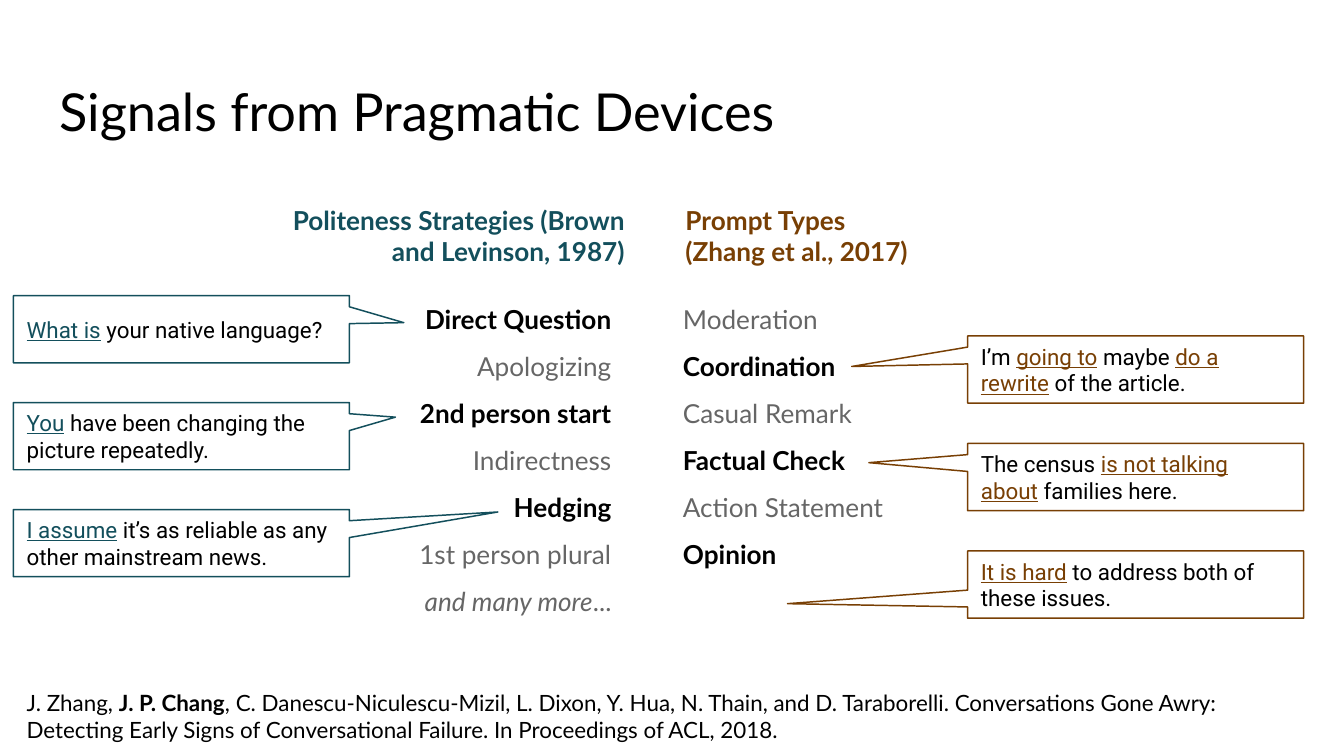
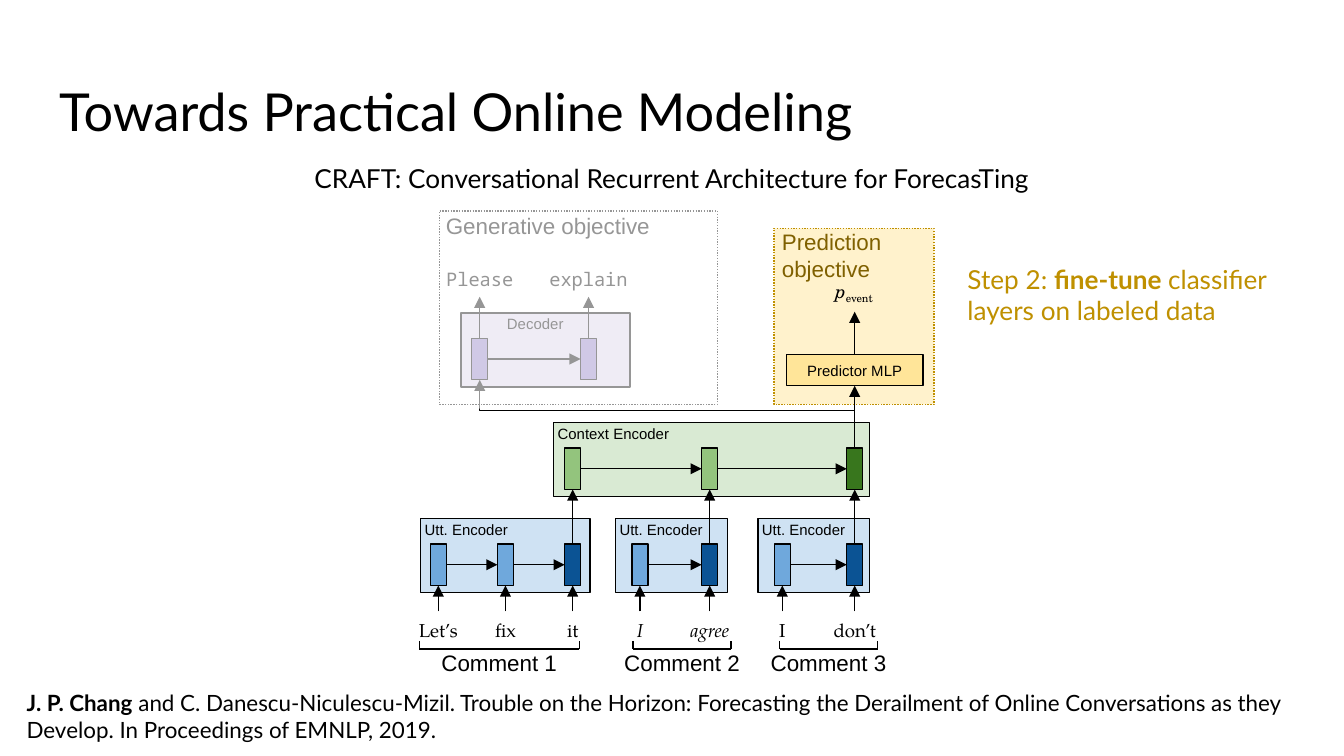
from itertools import pairwise
from typing import NamedTuple

from lxml.etree import SubElement
from pptx import Presentation
from pptx.dml.color import RGBColor
from pptx.enum.dml import MSO_LINE
from pptx.enum.shapes import MSO_CONNECTOR, MSO_SHAPE
from pptx.enum.text import MSO_ANCHOR, MSO_AUTO_SIZE, PP_ALIGN
from pptx.oxml.ns import qn
from pptx.util import Pt

BLACK = RGBColor(0x00, 0x00, 0x00)
WHITE = RGBColor(0xFF, 0xFF, 0xFF)
GRAY = RGBColor(0x66, 0x66, 0x66)
TEAL = RGBColor(0x13, 0x4F, 0x5C)
BROWN = RGBColor(0x78, 0x3F, 0x04)
GOLD = RGBColor(0xBF, 0x90, 0x00)
DARK_GOLD = RGBColor(0x7F, 0x60, 0x00)
CREAM = RGBColor(0xFF, 0xF2, 0xCC)
YELLOW = RGBColor(0xFF, 0xE5, 0x99)
PALE_BLUE = RGBColor(0xCF, 0xE2, 0xF3)
BLUE = RGBColor(0x6F, 0xA8, 0xDC)
DARK_BLUE = RGBColor(0x0B, 0x53, 0x94)
PALE_GREEN = RGBColor(0xD9, 0xEA, 0xD3)
GREEN = RGBColor(0x93, 0xC4, 0x7D)
DARK_GREEN = RGBColor(0x38, 0x76, 0x1D)
PALE_PURPLE = RGBColor(0xD9, 0xD2, 0xE9)
PURPLE = RGBColor(0x8E, 0x7C, 0xC3)

LATO = "Lato"
ARIAL = "Arial"
ROBOTO = "Roboto"
MONO = "Noto Sans Mono"
PAGELLA = "TeX Gyre Pagella"
SCHOLA = "TeX Gyre Schola"

THIN = 0.75
CELL_WIDTH, CELL_HEIGHT, CELL_DROP = 8.6, 22.3, 13.5
LEFT, CENTER, RIGHT = PP_ALIGN.LEFT, PP_ALIGN.CENTER, PP_ALIGN.RIGHT


class Box(NamedTuple):
    left: float
    top: float
    width: float
    height: float

    def lengths(self):
        return [Pt(value) for value in self]


class Span(NamedTuple):
    text: str
    color: RGBColor = None
    bold: bool = False
    italic: bool = False
    underline: bool = False
    baseline: int = 0


def write(shape, paragraphs, size, font=LATO, color=BLACK, align=LEFT,
          anchor=MSO_ANCHOR.TOP, insets=(7.2, 7.2), wrap=True, spacing=1.0):
    """Fill a shape with paragraphs, each a list of spans; a string is one plain span."""
    if isinstance(paragraphs, str):
        paragraphs = [[Span(paragraphs)]]
    frame = shape.text_frame
    frame.auto_size = MSO_AUTO_SIZE.NONE
    frame.word_wrap = wrap
    frame.vertical_anchor = anchor
    frame.margin_left = frame.margin_right = Pt(insets[0])
    frame.margin_top = frame.margin_bottom = Pt(insets[1])
    for index, spans in enumerate(paragraphs):
        para = frame.add_paragraph() if index else frame.paragraphs[0]
        if shape.is_placeholder:
            properties = para._p.get_or_add_pPr()
            properties.set("marL", "0")
            properties.set("indent", "0")
            SubElement(properties, qn("a:buNone"))
        para.alignment = align
        para.line_spacing = spacing
        para.space_before = Pt(0)
        for span in spans:
            run = para.add_run()
            run.text = span.text
            run.font.size = Pt(size)
            run.font.name = font
            run.font.bold = span.bold
            run.font.italic = span.italic
            run.font.underline = span.underline
            run.font.color.rgb = span.color or color
            if span.baseline:
                run._r.get_or_add_rPr().set("baseline", str(span.baseline * 1000))


def place(shape, box):
    shape.left, shape.top, shape.width, shape.height = box.lengths()


def label(page, box, paragraphs, size, **style):
    write(page.shapes.add_textbox(*box.lengths()), paragraphs, size, **style)


def panel(page, box, fill=None, line=BLACK, weight=THIN, dotted=False, kind=MSO_SHAPE.RECTANGLE):
    shape = page.shapes.add_shape(kind, *box.lengths())
    shape.shadow.inherit = False
    if fill is None:
        shape.fill.background()
    else:
        shape.fill.solid()
        shape.fill.fore_color.rgb = fill
    if line is None:
        shape.line.fill.background()
    else:
        shape.line.color.rgb = line
        shape.line.width = Pt(weight)
    if dotted:
        shape.line.dash_style = MSO_LINE.ROUND_DOT
    return shape


def connect(page, start, end, head=True, kind=MSO_CONNECTOR.STRAIGHT):
    connector = page.shapes.add_connector(kind, *[Pt(value) for value in (*start, *end)])
    connector.line.color.rgb = BLACK
    connector.line.width = Pt(THIN)
    properties = connector._element.spPr
    if head:
        SubElement(properties.find(qn("a:ln")), qn("a:tailEnd"), type="triangle")
    SubElement(properties, qn("a:effectLst"))
    return connector


def start_page(deck, layout, title, citation):
    """Add a page with the shared title style and citation footer."""
    page = deck.slides.add_slide(deck.slide_layouts.get_by_name(layout))
    place(page.shapes.title, Box(24.5, 35.3, 671, 45.4))
    write(page.shapes.title, title, 28)
    label(page, Box(7.2, 362.2, 702.7, 35.3), citation, 12)
    return page


def device_column(page, box, first_index, heading, devices, color, align, list_shift):
    """Heading over a list of devices; the list starts list_shift into the box."""
    heading_shape, list_shape = (page.placeholders[first_index + step] for step in (0, 1))
    place(heading_shape, Box(box.left, box.top, box.width, 37.4))
    write(heading_shape, [[Span(text, bold=True)] for text in heading], 14, color=color, align=align)
    place(list_shape, Box(box.left + list_shift, box.top + 46.1, 124.6, box.height - 46.1))
    write(list_shape, devices, 14, color=GRAY, align=align, insets=(5.8, 5.8), spacing=1.5)


def callouts(page, box, step, color, quotes):
    """Stack quote callouts downwards from box; each quote has a pointer tip and spans."""
    for index, (tip, spans) in enumerate(quotes):
        bubble = panel(page, box._replace(top=box.top + index * step), line=color, weight=0.79,
                       kind=MSO_SHAPE.RECTANGULAR_CALLOUT)
        bubble.adjustments[0], bubble.adjustments[1] = tip
        write(bubble, [spans], 12, font=ROBOTO, anchor=MSO_ANCHOR.MIDDLE, insets=(7.2, 3.6))


def devices_page(deck):
    page = start_page(deck, "Comparison", "Signals from Pragmatic Devices", [
        [Span("J. Zhang, "), Span("J. P. Chang", bold=True),
         Span(", C. Danescu-Niculescu-Mizil, L. Dixon, Y. Hua, N. Thain, and D. Taraborelli. "
              "Conversations Gone Awry:")],
        [Span("Detecting Early Signs of Conversational Failure. In Proceedings of ACL, 2018.")]])

    def strong(text):
        return [Span(text, BLACK, bold=True)]

    def teal(text):
        return Span(text, TEAL, underline=True)

    def brown(text):
        return Span(text, BROWN, underline=True)

    device_column(page, Box(139.7, 102.2, 202.3, 228.2), 1,
                  ["Politeness Strategies (Brown and Levinson, 1987)"],
                  [strong("Direct Question"), [Span("Apologizing")], strong("2nd person start"),
                   [Span("Indirectness")], strong("Hedging"), [Span("1st person plural")],
                   [Span("and many more", italic=True), Span("...")]], TEAL, RIGHT, 69.1)
    device_column(page, Box(360, 102.2, 202.3, 228.2), 3,
                  ["Prompt Types", "(Zhang et al., 2017)"],
                  [[Span("Moderation")], strong("Coordination"), [Span("Casual Remark")],
                   strong("Factual Check"), [Span("Action Statement")], strong("Opinion")],
                  BROWN, LEFT, 0)
    callouts(page, Box(7.2, 158.4, 180, 36), 57.3, TEAL, [
        ((0.662, -0.097), [teal("What is"), Span(" your native language?")]),
        ((0.637, -0.282), [teal("You"), Span(" have been changing the picture repeatedly.")]),
        ((0.942, -0.463), [teal("I assume"),
                           Span(" it’s as reliable as any other mainstream news.")])])
    callouts(page, Box(518.4, 180, 180, 36), 57.6, BROWN, [
        ((-0.845, -0.045), [Span("I’m "), brown("going to"), Span(" maybe "),
                            brown("do a rewrite"), Span(" of the article.")]),
        ((-0.794, -0.214), [Span("The census "), brown("is not talking about"),
                            Span(" families here.")]),
        ((-1.036, 0.285), [brown("It is hard"), Span(" to address both of these issues.")])])


def recurrent_panel(page, box, name, fill, cells, label_shift=-5, align=LEFT):
    """Panel with a chain of cells, given as (centre offset, colour); returns the cell centres."""
    panel(page, box, fill)
    label(page, Box(box.left + label_shift, box.top + 1.1, 82 if align == LEFT else 64, 9.4),
          name, 8, font=ARIAL, align=align, anchor=MSO_ANCHOR.MIDDLE, insets=(7.2, 2.2))
    centers = [box.left + offset for offset, _ in cells]
    top = box.top + CELL_DROP
    for center, (_, color) in zip(centers, cells):
        panel(page, Box(center - CELL_WIDTH / 2, top, CELL_WIDTH, CELL_HEIGHT), color)
    middle = top + CELL_HEIGHT / 2
    for before, after in pairwise(centers):
        connect(page, (before + CELL_WIDTH / 2, middle), (after - CELL_WIDTH / 2, middle))
    return centers


def comment(page, box, words, offsets, bracket, name, italic=False):
    """Utterance encoder with its words and bracket below; returns the last cell centre."""
    colors = [BLUE] * (len(words) - 1) + [DARK_BLUE]
    centers = recurrent_panel(page, box, "Utt. Encoder", PALE_BLUE, list(zip(offsets, colors)))
    word_top = box.top + 49.7
    for center, word in zip(centers, words):
        label(page, Box(center - 20, word_top, 40, 19.4), [[Span(word, italic=italic)]], 10,
              font=PAGELLA, align=CENTER, anchor=MSO_ANCHOR.MIDDLE, wrap=False)
        connect(page, (center, word_top), (center, box.top + CELL_DROP + CELL_HEIGHT))
    left, right = (box.left + offset for offset in bracket)
    top, bottom = box.top + 65.5, box.top + 69.8
    for start, end in pairwise([(left, top), (left, bottom), (right, bottom), (right, top)]):
        connect(page, start, end, head=False)
    label(page, Box((left + right) / 2 - 38.5, bottom, 77, 14.4), name, 12, font=ARIAL,
          align=CENTER, anchor=MSO_ANCHOR.MIDDLE, wrap=False)
    return centers[-1]


def generative_objective(page, box):
    """Dotted box with the decoder and the words it emits; returns the first cell centre."""
    panel(page, box, dotted=True)
    decoder = Box(box.left + 11.5, box.top + 54.7, 90.7, 39.6)
    centers = recurrent_panel(page, decoder, "Decoder", PALE_PURPLE,
                              [(10.1, PURPLE), (68.4, PURPLE)], 7.9, CENTER)
    word_top = box.top + 26.6
    for center, word in zip(centers, ["Please", "explain"]):
        label(page, Box(center - 29, word_top, 58, 19.4), word, 10, font=MONO, align=CENTER,
              anchor=MSO_ANCHOR.MIDDLE, wrap=False)
        connect(page, (center, decoder.top + CELL_DROP), (center, word_top + 19.4))
    label(page, Box(box.left - 3.6, box.top - 6.5, 158.4, 14.4), "Generative objective", 12,
          font=ARIAL)
    return centers[0], decoder.top + CELL_DROP + CELL_HEIGHT


def prediction_objective(page, box, center):
    """Dotted box with the predictor on the given centre; returns the predictor's bottom."""
    panel(page, box, CREAM, GOLD, dotted=True)
    predictor = Box(center - 36.7, box.top + 67.7, 73.4, 16.6)
    write(panel(page, predictor, YELLOW), "Predictor MLP", 8, font=ARIAL, align=CENTER,
          anchor=MSO_ANCHOR.MIDDLE, wrap=False)
    connect(page, (center, predictor.top), (center, box.top + 44.6))
    label(page, Box(center - 24.5, box.top + 24.5, 48.2, 19.4),
          [[Span("p", italic=True), Span("event", baseline=-25)]], 10, font=SCHOLA,
          align=CENTER, anchor=MSO_ANCHOR.MIDDLE, wrap=False)
    label(page, Box(box.left - 2.9, box.top - 7.2, 88.6, 14.4), "Prediction objective", 12,
          font=ARIAL, color=DARK_GOLD)
    return predictor.top + predictor.height


def veil(page, box):
    """Fade what lies below with translucent white."""
    shape = panel(page, box, WHITE, None)
    color = shape._element.spPr.find(qn("a:solidFill")).find(qn("a:srgbClr"))
    SubElement(color, qn("a:alpha"), val="59000")


def architecture_page(deck):
    page = start_page(deck, "Title Only", "Towards Practical Online Modeling", [
        [Span("J. P. Chang", bold=True),
         Span(" and C. Danescu-Niculescu-Mizil. Trouble on the Horizon: Forecasting the Derailment "
              "of Online Conversations as they Develop. In Proceedings of EMNLP, 2019.")]])
    label(page, Box(80.6, 79.9, 558.7, 35.3),
          "CRAFT: Conversational Recurrent Architecture for ForecasTing", 14, align=CENTER)
    comment_tops = [
        comment(page, Box(225.4, 277.9, 90.7, 39.6), ["Let’s", "fix", "it"],
                [9.4, 45.4, 81.4], (-0.7, 84.9), "Comment 1"),
        comment(page, Box(329.8, 277.9, 59.8, 39.6), ["I", "agree"],
                [13, 50.4], (9.4, 61.9), "Comment 2", italic=True),
        comment(page, Box(406.1, 277.9, 59.8, 39.6), ["I", "don’t"],
                [13, 51.8], (11.5, 64.1), "Comment 3")]
    context = Box(296.6, 226.5, 169.2, 39.6)
    shades = [GREEN, GREEN, DARK_GREEN]
    recurrent_panel(page, context, "Context Encoder", PALE_GREEN,
                    [(center - context.left, shade) for center, shade in zip(comment_tops, shades)])
    cell_top = context.top + CELL_DROP
    for center in comment_tops:
        connect(page, (center, 291.4), (center, cell_top + CELL_HEIGHT))
    last = comment_tops[-1]
    predictor_bottom = prediction_objective(page, Box(414.7, 122.4, 85.7, 94.3), last)
    connect(page, (last, cell_top), (last, predictor_bottom))
    decoder_entry = generative_objective(page, Box(235.4, 113, 149, 103.7))
    branch = connect(page, decoder_entry, (last, 220), kind=MSO_CONNECTOR.ELBOW)
    geometry = branch._element.spPr
    geometry.find(qn("a:xfrm")).set("rot", "10800000")
    geometry.find(qn("a:prstGeom")).set("prst", "bentConnector2")
    veil(page, Box(185.8, 106.6, 215.3, 112.3))
    label(page, Box(511.2, 133.9, 193.7, 65.5),
          [[Span("Step 2: "), Span("fine-tune ", bold=True),
            Span("classifier layers on labeled data")]], 14, color=GOLD)


def main():
    deck = Presentation()
    deck.slide_width, deck.slide_height = Pt(720), Pt(405)
    devices_page(deck)
    architecture_page(deck)
    deck.save("out.pptx")


if __name__ == "__main__":
    main()
